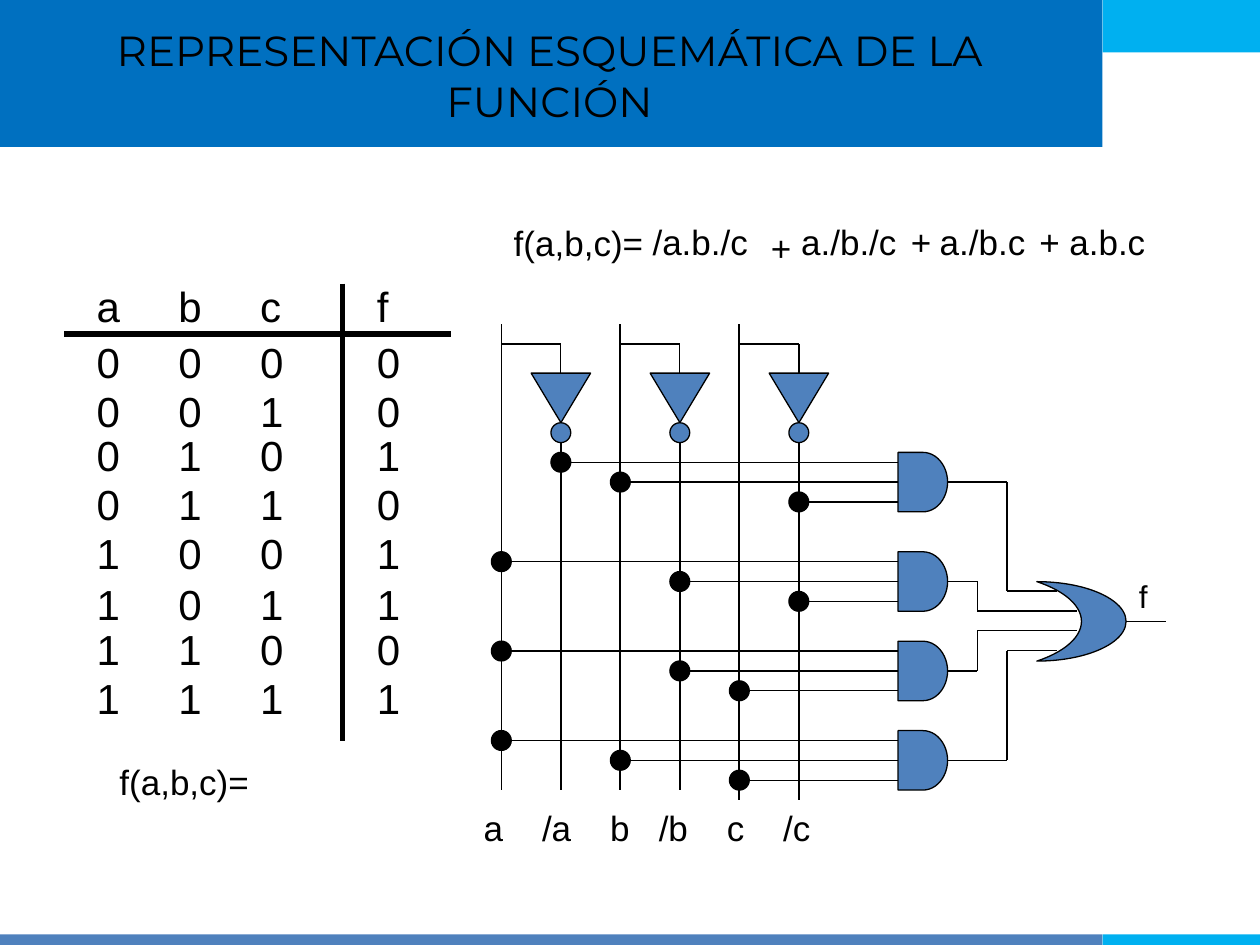
from dataclasses import dataclass
from lxml.etree import SubElement
from pptx import Presentation
from pptx.dml.color import RGBColor
from pptx.enum.shapes import MSO_CONNECTOR, MSO_SHAPE
from pptx.enum.text import MSO_ANCHOR, MSO_AUTO_SIZE, PP_ALIGN
from pptx.oxml.ns import qn
from pptx.util import Pt

COLORS = {"title": "0070C0", "accent": "00B0F0", "gate": "4F81BD", "ink": "000000"}
FIRST_WIRE, WIRE_STEP = 286.5, 34   # a, /a, b, /b, c, /c
STEP = 11.34                        # gap between gate inputs, and dot diameter
GATE_X, GATE_W, GATE_H = 513.2, 28.3, 34
OR_INPUT = 337.8


@dataclass
class Bar:
    left: float
    top: float
    width: float
    height: float
    color: str


@dataclass
class Label:
    text: str
    left: float
    top: float
    width: float
    height: float = 31.5
    size: float = 20


@dataclass
class Gate:
    top: float
    taps: tuple[int, int, int]
    elbow_x: float
    end_x: float


BARS = [
    Bar(0, 0, 630, 84, "title"),
    Bar(630, 0, 90, 30, "accent"),
    Bar(0, 534, 630, 6, "gate"),
    Bar(630, 534, 90, 6, "accent"),
]
TABLE_TOPS = [157, 188.6, 216.7, 241.9, 270, 298.1, 326.9, 352.8, 380.9]
TABLE_TABS = (46.7, 93.4, 160.1)
OUTPUTS = "00101101"
WIRE_TABS = (33.4, 72.3, 100.1, 139, 171.2)
LABELS = [
    Label("f(a,b,c)=", 286.5, 123.2, 108),
    Label("/a.b./c", 365.8, 122.4, 73.4),
    Label("+", 433.4, 126, 28),
    Label("a./b./c", 450.7, 122.4, 73.4),
    Label("+", 513.4, 122.4, 28),
    Label("a./b.c", 529.9, 122.4, 67.7),
    Label("+", 586.8, 122.4, 28),
    Label("a.b.c", 604, 122.4, 62.6),
    Label("f(a,b,c)=", 61.2, 431.3, 108),
    Label("f", 643.7, 326.2, 28, 28.8, 18),
]
GATES = [
    Gate(258.5, (1, 2, 5), 575.5, 604),
    Gate(315.3, (0, 3, 5), 558.5, 615.2),
    Gate(366.4, (0, 3, 4), 558.5, 615.2),
    Gate(417.5, (0, 2, 4), 575.5, 604),
]


def rgb(name: str) -> RGBColor:
    return RGBColor.from_string(COLORS[name])


def add_shape(shapes, kind, left: float, top: float, width: float, height: float,
              color: str = "gate", outlined: bool = True):
    sp = shapes.add_shape(kind, Pt(left), Pt(top), Pt(width), Pt(height))
    sp.shadow.inherit = False
    sp.fill.solid()
    sp.fill.fore_color.rgb = rgb(color)
    if outlined:
        sp.line.color.rgb = rgb("ink")
        sp.line.width = Pt(0.75)
    else:
        sp.line.fill.background()
    return sp


def add_line(shapes, x1: float, y1: float, x2: float, y2: float, width: float = 0.75):
    line = shapes.add_connector(MSO_CONNECTOR.STRAIGHT, Pt(x1), Pt(y1), Pt(x2), Pt(y2))
    line.line.color.rgb = rgb("ink")
    line.line.width = Pt(width)
    SubElement(line.element.spPr, qn("a:effectLst"))
    return line


def format_runs(p, font: str, size: float) -> None:
    for r in p.runs:
        r.font.name = font
        r.font.size = Pt(size)
        r.font.color.rgb = rgb("ink")


def add_label(shapes, label: Label, tabs: tuple[float, ...] = ()) -> None:
    box = shapes.add_textbox(Pt(label.left), Pt(label.top), Pt(label.width), Pt(label.height))
    tf = box.text_frame
    tf.word_wrap = True
    tf.auto_size = MSO_AUTO_SIZE.SHAPE_TO_FIT_TEXT
    tf.text = label.text
    p = tf.paragraphs[0]
    if tabs:
        tab_list = SubElement(p._p.get_or_add_pPr(), qn("a:tabLst"))
        for pos in tabs:
            SubElement(tab_list, qn("a:tab"), pos=str(int(Pt(pos))), algn="l")
    format_runs(p, "Arial", label.size)


def wire_x(index: int) -> float:
    return FIRST_WIRE + WIRE_STEP * index


def add_input(shapes, index: int) -> None:
    """Draw a variable's wire, its inverter and the negated wire."""
    x, inv_x = wire_x(index), wire_x(index + 1)
    bottom = 457.2 if index == 4 else 451.3
    group = shapes.add_group_shape().shapes
    triangle = add_shape(group, MSO_SHAPE.FLOWCHART_EXTRACT, inv_x - 17, 213.2, 34, 28.3)
    triangle.rotation = 180
    add_shape(group, MSO_SHAPE.OVAL, inv_x - STEP / 2, 241.6, STEP, STEP)
    add_line(shapes, x, 185.2, x, bottom, 1)
    add_line(shapes, x, 196.5, inv_x, 196.5)
    add_line(shapes, inv_x, 196.5, inv_x, 213.2)
    add_line(shapes, inv_x, 252.9, inv_x, bottom, 1)


def add_gate(shapes, gate: Gate, or_y: float) -> None:
    """Draw an AND gate, its tapped inputs and its route to the OR gate."""
    sp = add_shape(shapes, MSO_SHAPE.FLOWCHART_DELAY, GATE_X, gate.top, GATE_W, GATE_H)
    middle = gate.top + GATE_H / 2
    for i, tap in enumerate(gate.taps):
        x, y = wire_x(tap), middle + (i - 1) * STEP
        line = add_line(shapes, x, y, GATE_X, y)
        if i == 1:
            line.end_connect(sp, 1)
        add_shape(shapes, MSO_SHAPE.OVAL, x - STEP / 2, y - STEP / 2, STEP, STEP, "ink")
    add_line(shapes, GATE_X + GATE_W, middle, gate.elbow_x, middle).begin_connect(sp, 3)
    add_line(shapes, gate.elbow_x, middle, gate.elbow_x, or_y)
    add_line(shapes, gate.elbow_x, or_y, gate.end_x, or_y)


def main() -> None:
    prs = Presentation()
    prs.slide_width, prs.slide_height = Pt(720), Pt(540)
    s = prs.slides.add_slide(prs.slide_layouts[5])
    shapes = s.shapes

    # Bars and title, with the title in front
    group = shapes.add_group_shape().shapes
    for bar in BARS:
        add_shape(group, MSO_SHAPE.RECTANGLE, bar.left, bar.top, bar.width, bar.height,
                  bar.color, outlined=False)
    title = shapes.title
    title.element.getparent().append(title.element)
    title.left, title.top, title.width, title.height = Pt(8), Pt(8), Pt(612), Pt(70)
    tf = title.text_frame
    tf.text = "REPRESENTACIÓN ESQUEMÁTICA DE LA FUNCIÓN"
    tf.word_wrap = True
    tf.auto_size = MSO_AUTO_SIZE.NONE
    tf.vertical_anchor = MSO_ANCHOR.MIDDLE
    tf.paragraphs[0].alignment = PP_ALIGN.CENTER
    format_runs(tf.paragraphs[0], "Montserrat", 24)

    # Truth table
    add_line(shapes, 36.7, 190.8, 257.8, 190.8, 3)
    add_line(shapes, 195.8, 162, 195.8, 423.4, 3)
    rows = ["abcf"] + [f"{i:03b}{out}" for i, out in enumerate(OUTPUTS)]
    for row, top in zip(rows, TABLE_TOPS):
        add_label(shapes, Label("\t".join(row), 48.2, top, 198.7, 36, 24), TABLE_TABS)

    # Formula and labels
    for label in LABELS:
        add_label(shapes, label)
    add_label(shapes, Label("a\t/a\tb\t/b\tc\t/c", 269.3, 457.2, 203.8), WIRE_TABS)

    # Circuit
    for index in (0, 2, 4):
        add_input(shapes, index)
    for i, gate in enumerate(GATES):
        add_gate(shapes, gate, OR_INPUT + i * STEP)
    or_gate = add_shape(shapes, MSO_SHAPE.MOON, 592.5, 332.4, 51, 45.4)
    or_gate.element.spPr.xfrm.set("flipH", "1")
    add_line(shapes, 666.2, 355, 643.5, 355)

    prs.save("out.pptx")


if __name__ == "__main__":
    main()
